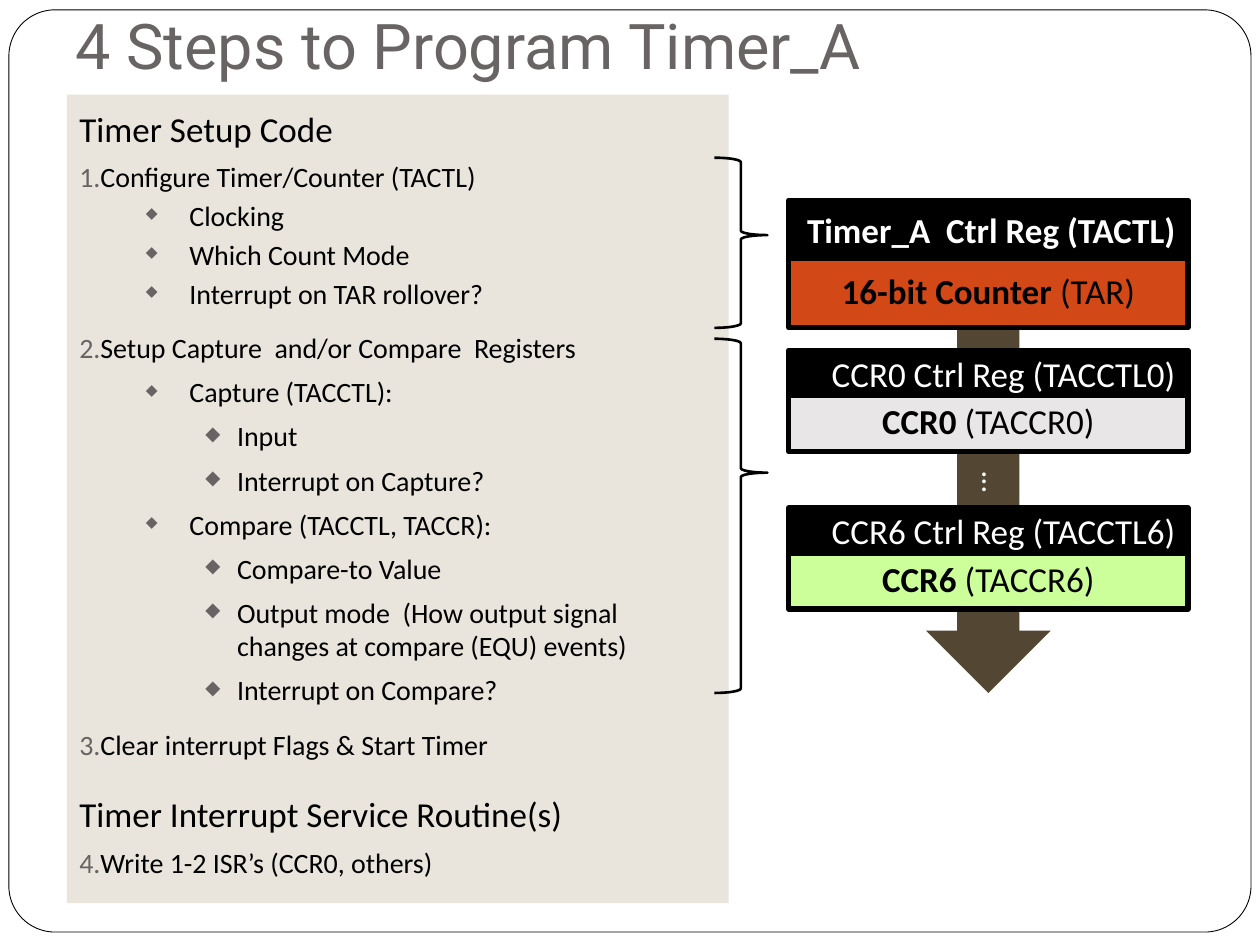
from lxml import etree
from pptx import Presentation
from pptx.dml.color import RGBColor
from pptx.enum.shapes import MSO_SHAPE
from pptx.enum.text import MSO_ANCHOR, PP_ALIGN
from pptx.oxml.ns import qn
from pptx.util import Cm, Pt

ROUNDED = MSO_SHAPE.ROUNDED_RECTANGLE
RECTANGLE = MSO_SHAPE.RECTANGLE
DOWN_ARROW = MSO_SHAPE.DOWN_ARROW
RIGHT_BRACE = MSO_SHAPE.RIGHT_BRACE
TOP, MIDDLE, BOTTOM = MSO_ANCHOR.TOP, MSO_ANCHOR.MIDDLE, MSO_ANCHOR.BOTTOM
LEFT, CENTER, RIGHT = PP_ALIGN.LEFT, PP_ALIGN.CENTER, PP_ALIGN.RIGHT

BLACK, WHITE, GREY = "000000", "FFFFFF", "696464"
PANEL, BROWN = "E9E5DC", "534733"
DIAMOND = "◆"

TITLE = "4 Steps to Program Timer_A"

STEPS = [
    ("heading", "Timer Setup Code", 6),
    ("step", "Configure Timer/Counter (TACTL)", 6),
    ("item", "Clocking", 3),
    ("item", "Which Count Mode", 3),
    ("item", "Interrupt on TAR rollover?", 3),
    ("step", "Setup Capture  and/or Compare  Registers", 12),
    ("item", "Capture (TACCTL):", 6),
    ("detail", "Input", 6),
    ("detail", "Interrupt on Capture?", 6),
    ("item", "Compare (TACCTL, TACCR):", 6),
    ("detail", "Compare-to Value", 6),
    ("detail", "Output mode  (How output signal changes at compare (EQU) events)", 6),
    ("detail", "Interrupt on Compare?", 6),
    ("step", "Clear interrupt Flags & Start Timer", 12),
    ("heading", "Timer Interrupt Service Routine(s)", 18),
    ("step", "Write 1-2 ISR’s (CCR0, others)", 6),
]

STYLES = {
    "heading": dict(size=20, level=0, margin=0, hanging=0, bullet_size=None),
    "step": dict(size=16, level=0, margin=0.3, hanging=0.3, bullet_size=None),
    "item": dict(size=16, level=1, margin=2.22, hanging=0.88, bullet_size=55),
    "detail": dict(size=16, level=2, margin=3.18, hanging=0.64, bullet_size=70),
}

REGISTERS = [
    dict(top=4.04, heights=(1.17, 1.4), control="Timer_A  Ctrl Reg (TACTL)", bold=True,
         name="16-bit Counter ", register="(TAR)", fill="D34817"),
    dict(top=7.06, heights=(0.92, 1.12), control="CCR0 Ctrl Reg (TACCTL0)", bold=False,
         name="CCR0 ", register="(TACCR0)", fill="E9E6E7"),
    dict(top=10.24, heights=(0.92, 1.12), control="CCR6 Ctrl Reg (TACCTL6)", bold=False,
         name="CCR6 ", register="(TACCR6)", fill="CCFF99"),
]
REGISTER_LEFT, REGISTER_WIDTH = 15.9, 8.05

BRACES = [(3.18, 3.43, 0.455), (6.83, 7.14, 0.378)]


def color(value):
    return RGBColor.from_string(value)


def add_box(slide, kind, left, top, width, height, fill=None, line=None, adjustments=()):
    shape = slide.shapes.add_shape(kind, Cm(left), Cm(top), Cm(width), Cm(height))
    shape.shadow.inherit = False
    for index, value in enumerate(adjustments):
        shape.adjustments[index] = value
    if fill:
        shape.fill.solid()
        shape.fill.fore_color.rgb = color(fill)
    else:
        shape.fill.background()
    if line:
        shape.line.color.rgb = color(BLACK)
        shape.line.width = Pt(line)
    else:
        shape.line.fill.background()
    return shape


def set_frame(shape, anchor, insets=(0.25, 0.13, 0.25, 0.13), wrap=True):
    frame = shape.text_frame
    frame.word_wrap = wrap
    frame.vertical_anchor = anchor
    frame.margin_left, frame.margin_top, frame.margin_right, frame.margin_bottom = map(Cm, insets)
    return frame


def write(paragraph, text, size=20, font="Calibri", fill=BLACK, bold=False,
          align=LEFT, spacing=None, before=0):
    paragraph.alignment = align
    paragraph.space_before = Pt(before)
    if spacing:
        paragraph.line_spacing = spacing
    run = paragraph.add_run()
    run.text = text
    run.font.size = Pt(size)
    run.font.name = font
    run.font.bold = bold
    run.font.color.rgb = color(fill)


def next_paragraph(frame, index):
    return frame.add_paragraph() if index else frame.paragraphs[0]


def set_bullet(paragraph, kind, number):
    style = STYLES[kind]
    properties = paragraph._p.get_or_add_pPr()
    properties.set("marL", str(Cm(style["margin"])))
    properties.set("indent", str(-Cm(style["hanging"])))
    if kind == "heading":
        etree.SubElement(properties, qn("a:buNone"))
        return
    bullet_color = etree.SubElement(properties, qn("a:buClr"))
    etree.SubElement(bullet_color, qn("a:srgbClr"), val=GREY)
    if kind == "step":
        etree.SubElement(properties, qn("a:buAutoNum"), type="arabicPeriod", startAt=str(number))
    else:
        etree.SubElement(properties, qn("a:buSzPct"), val=str(style["bullet_size"] * 1000))
        etree.SubElement(properties, qn("a:buChar"), char=DIAMOND)


def add_title(slide):
    box = slide.shapes.add_textbox(Cm(1.27), Cm(0.43), Cm(22.86), Cm(1.48))
    frame = set_frame(box, BOTTOM, (0.25, 0.13, 0.25, 0.25))
    write(frame.paragraphs[0], TITLE, size=36, font="Roboto", fill=GREY)


def add_register(slide, top, heights, control, bold, name, register, fill):
    control_height, value_height = heights
    value = add_box(slide, RECTANGLE, REGISTER_LEFT, top + control_height,
                    REGISTER_WIDTH, value_height, fill, 3)
    paragraph = set_frame(value, MIDDLE).paragraphs[0]
    write(paragraph, name, bold=True, align=CENTER, spacing=0.9)
    write(paragraph, register, align=CENTER, spacing=0.9)
    header = add_box(slide, RECTANGLE, REGISTER_LEFT, top, REGISTER_WIDTH, control_height, BLACK, 3)
    write(set_frame(header, MIDDLE).paragraphs[0], control, fill=WHITE, bold=bold, align=RIGHT)


def add_dots(slide):
    box = slide.shapes.add_textbox(Cm(19.51), Cm(9.12), Cm(0.79), Cm(1.17))
    frame = set_frame(box, MIDDLE, wrap=False)
    for index in range(3):
        write(next_paragraph(frame, index), ".", size=18, fill=WHITE, spacing=0.2)


def add_steps(slide):
    panel = add_box(slide, RECTANGLE, 1.35, 1.91, 13.34, 16.3, PANEL)
    frame = set_frame(panel, TOP, (0.25, 0.25, 0.25, 0.13))
    number = 0
    for index, (kind, text, before) in enumerate(STEPS):
        number += kind == "step"
        paragraph = next_paragraph(frame, index)
        paragraph.level = STYLES[kind]["level"]
        write(paragraph, text, size=STYLES[kind]["size"], before=before)
        set_bullet(paragraph, kind, number)


def main():
    presentation = Presentation()
    presentation.slide_width, presentation.slide_height = Cm(25.4), Cm(19.05)
    slide = presentation.slides.add_slide(presentation.slide_layouts[6])
    add_box(slide, ROUNDED, 0.18, 0.2, 25.04, 18.59, WHITE, 0.5, [0.05])
    add_title(slide)
    add_box(slide, DOWN_ARROW, 18.67, 6.25, 2.51, 7.72, BROWN)
    for register in REGISTERS:
        add_register(slide, **register)
    add_dots(slide)
    add_steps(slide)
    for top, height, point in BRACES:
        add_box(slide, RIGHT_BRACE, 14.4, top, 1.07, height, line=1.5, adjustments=[0.083, point])
    presentation.save("out.pptx")


if __name__ == "__main__":
    main()
